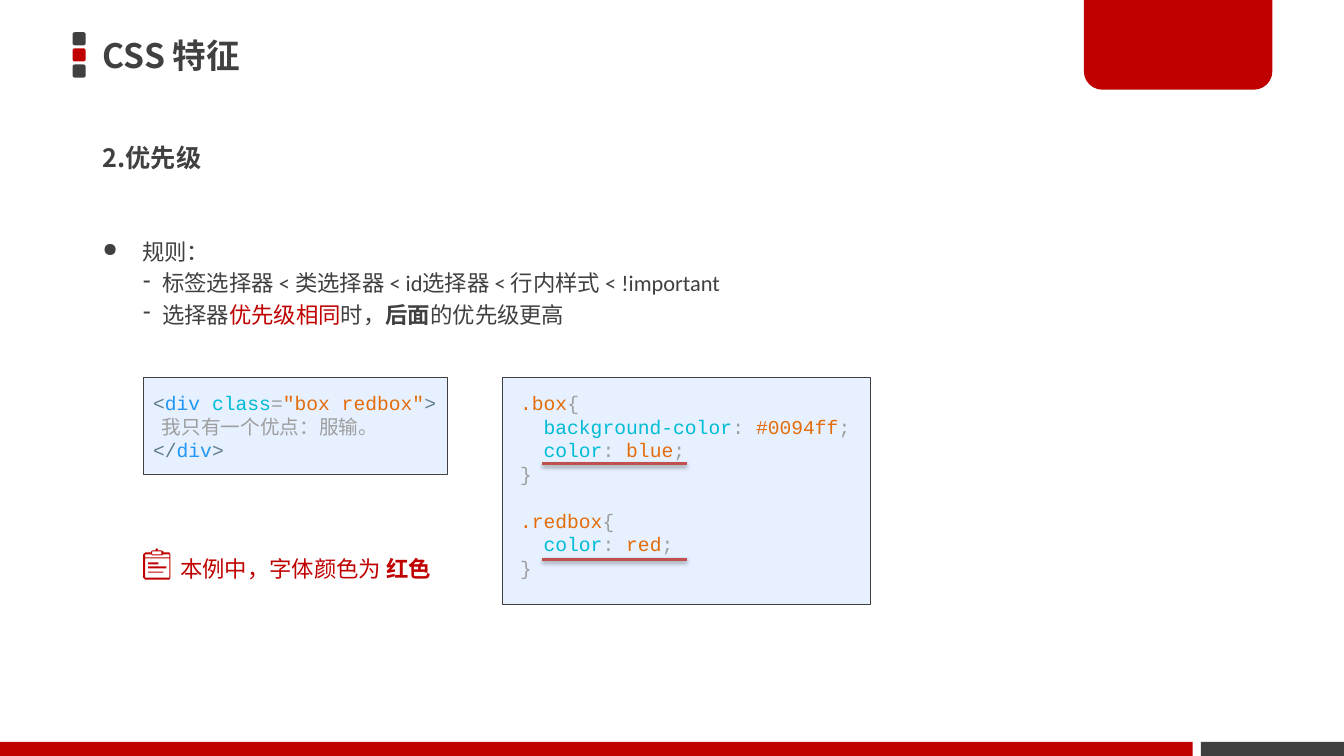
from lxml import etree
from pptx import Presentation
from pptx.dml.color import RGBColor
from pptx.enum.shapes import MSO_CONNECTOR, MSO_SHAPE
from pptx.enum.text import MSO_ANCHOR, PP_ALIGN
from pptx.oxml.ns import qn
from pptx.util import Inches, Pt

RECT, ROUND = MSO_SHAPE.RECTANGLE, MSO_SHAPE.ROUNDED_RECTANGLE
TAB = MSO_SHAPE.ROUND_2_SAME_RECTANGLE
TOP, MIDDLE, LEFT = MSO_ANCHOR.TOP, MSO_ANCHOR.MIDDLE, PP_ALIGN.LEFT
DARK, RED, PALE, RULE = "404040", "C00000", "E6F0FF", "C0504D"
GREY, CYAN, GOLD, SLATE, BLUE = "9E9E9E", "00BCD4", "E46C0A", "607D8B", "2196F3"
CJK, SANS, MONO = "Noto Sans CJK JP", "Calibri", "Courier New"

# Each run is (text, colour) or (text, colour, bold)
TITLE = [[("CSS 特征", DARK, True)]]
HEAD = [[("2.优先级", DARK, True)]]
RULES = [
    [("规则：", DARK)],
    [("标签选择器 < 类选择器 < id选择器 < 行内样式 < !important", DARK)],
    [("选择器", DARK), ("优先级相同", RED), ("时，", DARK),
     ("后面", DARK, True), ("的优先级更高", DARK)],
]
NOTE = [[("本例中，字体颜色为 ", RED), ("红色", RED, True)]]
HTML = [
    [("<", SLATE), ("div ", BLUE), ("class", CYAN), ("=", GREY),
     ('"box redbox"', GOLD), (">", SLATE)],
    [("  我只有一个优点：服输。", GREY)],
    [("</", SLATE), ("div", BLUE), (">", SLATE)],
]
STYLES = [
    (".box", [("background-color", "#0094ff"), ("color", "blue")]),
    (".redbox", [("color", "red")]),
]
BARS = [(0, 7.36, 11.83, 0.14, RED), (11.91, 7.36, 1.42, 0.14, DARK)]
CARDS = [(4.98, 3.74, 3.65, 2.25), (1.42, 3.74, 3.02, 0.96)]
MARKS = [4.6, 5.55]
# Clipboard outlines, in hundredths of an inch
CLIP = [
    [(144, 548), (150, 548), (150, 547), (151, 546), (154, 546), (155, 544),
     (156, 544), (157, 546), (160, 546), (162, 547), (162, 548), (168, 548),
     (169, 550), (169, 573), (168, 575), (144, 575), (142, 573), (142, 550)],
    [(144, 550), (150, 550), (151, 551), (160, 551), (162, 550), (168, 550),
     (168, 553), (144, 553)],
]
HOLES = [(144, 554, 168, 573), (151, 547, 160, 550),
         (147, 567, 162, 568), (147, 562, 165, 564), (147, 558, 157, 560)]

prs = Presentation()
prs.slide_width, prs.slide_height = Inches(13.33), Inches(7.5)
slide = prs.slides.add_slide(prs.slide_layouts[5])
shapes = slide.shapes


def rgb(code):
    return RGBColor.from_string(code)


def paint(shape, fill, line=None):
    shape.shadow.inherit = False
    shape.fill.solid()
    shape.fill.fore_color.rgb = rgb(fill)
    if line:
        shape.line.color.rgb = rgb(line)
        shape.line.width = Pt(0.25)
    else:
        shape.line.fill.background()


def block(kind, box, fill, line=None):
    shape = shapes.add_shape(kind, *map(Inches, box))
    paint(shape, fill, line)
    return shape


def write(shape, box, paras, size, font, anchor=TOP, **form):
    """Place a text shape and fill it with paragraphs of styled runs."""
    for name, value in zip(("left", "top", "width", "height"), box):
        setattr(shape, name, Inches(value))
    frame = shape.text_frame
    frame.word_wrap, frame.vertical_anchor = True, anchor
    for i, runs in enumerate(paras):
        para = frame.paragraphs[0] if i == 0 else frame.add_paragraph()
        para.alignment = LEFT
        for name, value in form.items():
            setattr(para, name, value)
        for text, color, *bold in runs:
            run = para.add_run()
            run.text = text
            look = {"size": Pt(size), "name": font, "bold": bool(bold)}
            for name, value in look.items():
                setattr(run.font, name, value)
            run.font.color.rgb = rgb(color)
            east = etree.SubElement(run._r.get_or_add_rPr(), qn("a:ea"))
            east.set("typeface", CJK)
    return frame.paragraphs


def label(box, *args, **form):
    return write(shapes.add_textbox(0, 0, 0, 0), box, *args, **form)


def bullet(para, char, left, hang, scale=100):
    props = para._p.get_or_add_pPr()
    props.set("marL", str(Inches(left)))
    props.set("indent", str(-Inches(hang)))
    color = etree.SubElement(props, qn("a:buClr"))
    etree.SubElement(color, qn("a:srgbClr")).set("val", DARK)
    etree.SubElement(props, qn("a:buSzPct")).set("val", str(scale * 1000))
    etree.SubElement(props, qn("a:buChar")).set("char", char)


def css(name, pairs):
    """Return the coloured lines of one style rule."""
    body = [[("  ", GREY), (key, CYAN), (": ", GREY), (value, GOLD), (";", GREY)]
            for key, value in pairs]
    return [[(name, GOLD), ("{", GREY)], *body, [("}", GREY)]]


def underline(top):
    line = shapes.add_connector(MSO_CONNECTOR.STRAIGHT, Inches(5.38), Inches(top),
                                Inches(6.81), Inches(top))
    line.line.color.rgb = rgb(RULE)
    line.line.width = Pt(2)
    effects = etree.SubElement(line._element.spPr, qn("a:effectLst"))
    shade = etree.SubElement(effects, qn("a:outerShdw"), blurRad=str(Pt(3.1)),
                             dist=str(Pt(1.6)), dir="5400000", rotWithShape="0")
    color = etree.SubElement(shade, qn("a:srgbClr"), val="000000")
    etree.SubElement(color, qn("a:alpha"), val="38000")


def clipboard():
    rings = CLIP + [[(a, b), (c, b), (c, d), (a, d)] for a, b, c, d in HOLES]
    pen = shapes.build_freeform(*rings[0][0], scale=Inches(0.01))
    for i, ring in enumerate(rings):
        if i:
            pen.move_to(*ring[0])
        pen.add_line_segments(ring[1:], close=True)
    paint(pen.convert_to_shape(), RED)


for i, fill in enumerate((DARK, RED, DARK)):
    block(ROUND, (0.72, 0.32 + 0.16 * i, 0.13, 0.13), fill)
for *box, fill in BARS:
    block(RECT, box, fill)
tab = block(TAB, (10.75, -0.03, 1.87, 0.92), RED)
tab.adjustments[0], tab.adjustments[1] = 0, 0.2

write(shapes.title, (0.92, 0.26, 9.59, 0.57), TITLE, 24, CJK, MIDDLE)
label((0.92, 1.28, 2.62, 0.57), HEAD, 18, CJK, MIDDLE)
first, *rest = label((0.92, 2.18, 7.41, 1.42), RULES, 16, SANS)
first.line_spacing = 1.5
bullet(first, "●", 0.39, 0.39, 85)
for para in rest:
    para.space_before = Pt(3.2)
    bullet(para, "-", 0.59, 0.19)

for box in CARDS:
    block(RECT, box, PALE, DARK)
code = [css(*style) for style in STYLES]
lines = label((5.06, 3.83, 3.65, 1.99), sum(code, []), 14, MONO)
lines[len(code[0])].space_before = Pt(16.8)
label((1.42, 3.83, 3.02, 0.81), HTML, 14, MONO)
label((1.69, 5.33, 2.76, 0.53), NOTE, 16, SANS, line_spacing=1.5)
clipboard()
for top in MARKS:
    underline(top)

prs.save("out.pptx")
